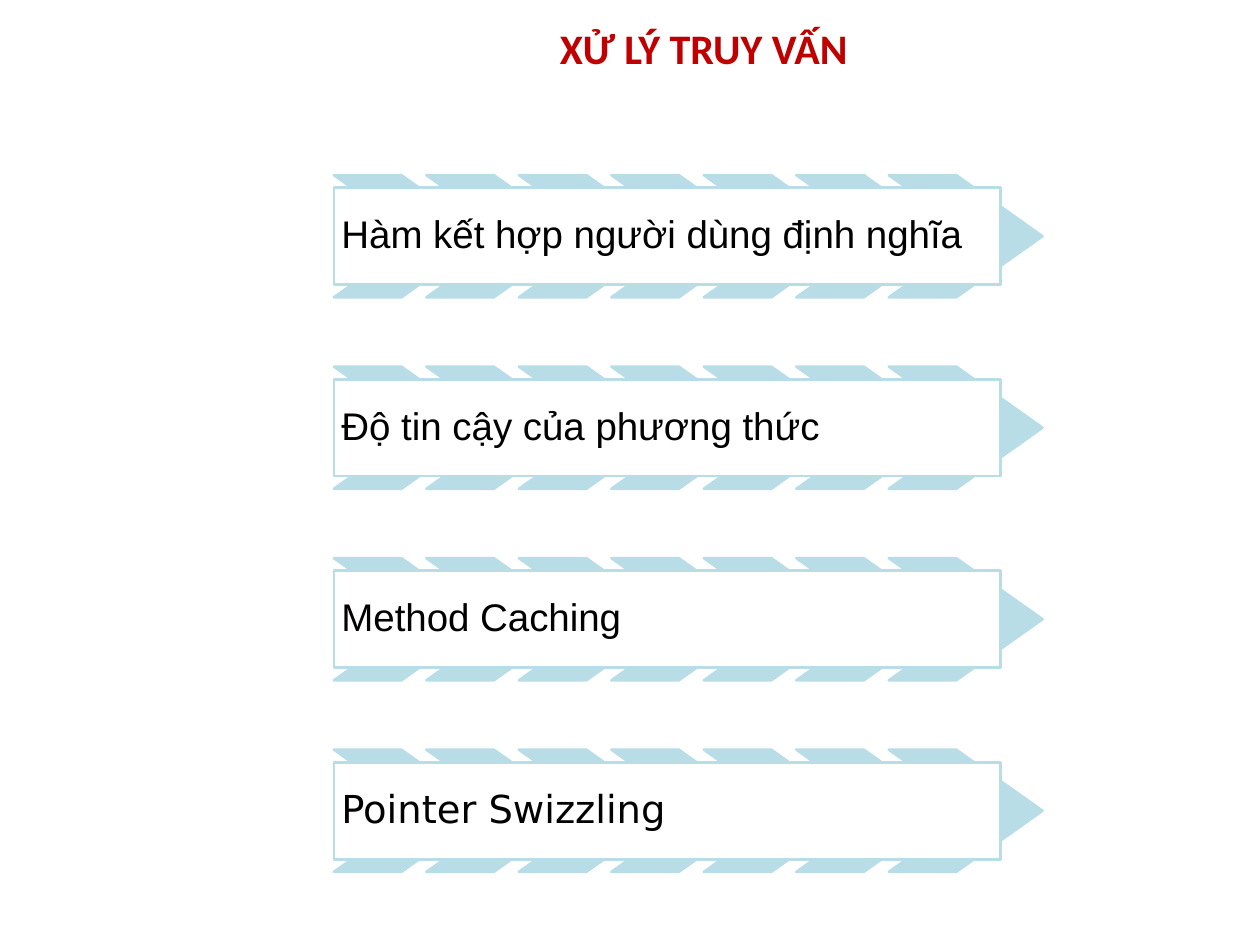
import pptx
import pptx.util
import pptx.dml.color
import pptx.enum.shapes
import pptx.enum.text

Inch = pptx.util.Inches
Pt = pptx.util.Pt
Kind = pptx.enum.shapes.MSO_SHAPE
Align = pptx.enum.text.PP_ALIGN
Anchor = pptx.enum.text.MSO_ANCHOR

HUES = {"white": "FFFFFF", "aqua": "B8DDE7", "red": "C00000", "black": "000000"}
WIDE, HIGH = 10, 7.5
LEFT, TOP = 2.65, 1.39
COL, ROW = 0.734, 1.52
COUNT = 7
ITEMS = [
    ("Hàm kết hợp người dùng định nghĩa", "Arial"),
    ("Độ tin cậy của phương thức", "Arial"),
    ("Method Caching", "Arial"),
    ("Pointer Swizzling", "DejaVu Sans"),
]


def hue(name):
    """Return the named colour."""
    return pptx.dml.color.RGBColor.from_string(HUES[name])


def add_box(shapes, kind, box, fill, line, width, adj=None):
    """Add a filled, outlined preset shape."""
    shape = shapes.add_shape(kind, *map(Inch, box))
    shape.shadow.inherit = False
    shape.fill.solid()
    shape.fill.fore_color.rgb = hue(fill)
    shape.line.color.rgb = hue(line)
    shape.line.width = Pt(width)
    if adj is not None:
        shape.adjustments[0] = adj
    return shape


def add_run(para, text, font, size, tint, bold=False):
    """Add one styled run to a paragraph."""
    run = para.add_run()
    run.text = text
    run.font.name = font
    run.font.size = Pt(size)
    run.font.bold = bold
    run.font.color.rgb = hue(tint)


def add_title(shapes, text):
    """Add the heading over its rounded panel."""
    add_box(shapes, Kind.ROUNDED_RECTANGLE, (1.67, 0.08, 7.82, 0.62),
            "white", "white", 3, 0.167)
    frame = shapes.add_textbox(*map(Inch, (1.67, 0.13, 7.83, 0.58))).text_frame
    frame.word_wrap = True
    para = frame.paragraphs[0]
    para.alignment = Align.CENTER
    para.space_before = Pt(5)
    add_run(para, text, "Calibri", 24, "red", True)


def add_item(shapes, top, text, font):
    """Add a row of chevrons behind a labelled bar."""
    group = shapes.add_group_shape().shapes
    for col in range(COUNT):
        add_box(group, Kind.CHEVRON, (LEFT + col * COL, top, 1.22, 0.97),
                "aqua", "aqua", 1.5, 0.706)
    bar = add_box(group, Kind.RECTANGLE, (LEFT, top + 0.1, 5.29, 0.77),
                  "white", "aqua", 1.5)
    frame = bar.text_frame
    frame.word_wrap = True
    frame.vertical_anchor = Anchor.MIDDLE
    frame.margin_left = frame.margin_right = Inch(0.06)
    frame.margin_top = frame.margin_bottom = Inch(0.06)
    para = frame.paragraphs[0]
    para.alignment = Align.LEFT
    para.line_spacing = 0.9
    add_run(para, text, font, 22, "black")


def main():
    """Build the slide and save it."""
    deck = pptx.Presentation()
    deck.slide_width, deck.slide_height = Inch(WIDE), Inch(HIGH)
    shapes = deck.slides.add_slide(deck.slide_layouts[6]).shapes
    add_title(shapes, "XỬ LÝ TRUY VẤN")
    for row, (text, font) in enumerate(ITEMS):
        add_item(shapes, TOP + row * ROW, text, font)
    deck.save("out.pptx")


if __name__ == "__main__":
    main()
